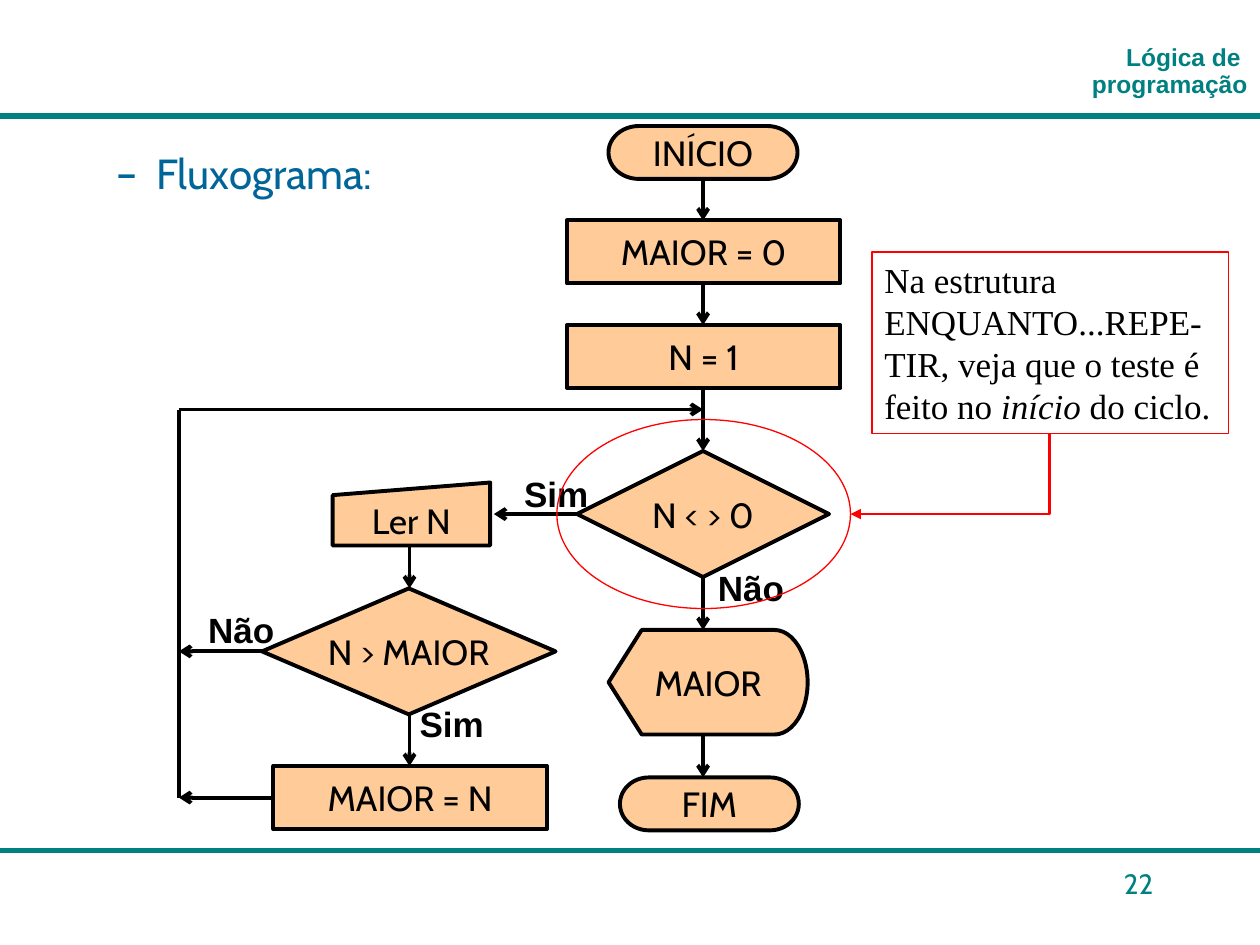
from lxml import etree
from pptx import Presentation
from pptx.dml.color import RGBColor
from pptx.enum import shapes, text
from pptx.oxml import ns
from pptx.util import Inches, Pt

TEAL = RGBColor(0x00, 0x80, 0x80)
BLUE = RGBColor(0x00, 0x66, 0x99)
PEACH = RGBColor(0xFF, 0xCC, 0x99)
BLACK = RGBColor(0x00, 0x00, 0x00)
WHITE = RGBColor(0xFF, 0xFF, 0xFF)
RED = RGBColor(0xFF, 0x00, 0x00)

KIND = shapes.MSO_SHAPE
ALIGN = text.PP_ALIGN

MAIN_X = 5.58    # axis of the main column
BRANCH_X = 3.25  # axis of the branch inside the loop
LOOP_X = 1.42    # line that returns to the test

STEPS = [
    (KIND.FLOWCHART_TERMINATOR, 4.83, 1, 1.5, 0.42, "INÍCIO"),
    (KIND.FLOWCHART_PROCESS, 4.5, 1.75, 2.17, 0.5, "MAIOR = 0"),
    (KIND.FLOWCHART_PROCESS, 4.5, 2.58, 2.17, 0.5, "N = 1"),
    (KIND.FLOWCHART_DECISION, 4.58, 3.58, 2, 1, "N < > 0"),
    (KIND.FLOWCHART_DISPLAY, 4.83, 5, 1.58, 0.83, "MAIOR"),
    (KIND.FLOWCHART_TERMINATOR, 4.92, 6.17, 1.42, 0.42, "FIM"),
    (KIND.FLOWCHART_MANUAL_INPUT, 2.64, 3.83, 1.25, 0.5, "Ler N"),
    (KIND.FLOWCHART_DECISION, 2.08, 4.67, 2.33, 1, "N > MAIOR"),
    (KIND.FLOWCHART_PROCESS, 2.17, 6.08, 2.17, 0.5, "MAIOR = N"),
]
MAIN_GAPS = [(1.42, 1.75), (2.25, 2.58), (3.08, 3.58), (4.58, 5), (5.83, 6.17)]
BRANCH_GAPS = [(4.33, 4.67), (5.67, 6.08)]
SIDE_ARROWS = [
    (4.58, 4.08, 3.92),
    (2.08, 5.17, LOOP_X),
    (2.17, 6.33, LOOP_X),
    (LOOP_X, 3.25, MAIN_X),
]
BRANCH_LABELS = [
    (3.83, 3.75, 1.17, "Sim"),
    (5.42, 4.5, 1.08, "Não"),
    (1.33, 4.83, 1.17, "Não"),
    (3, 5.58, 1.17, "Sim"),
]


def style(paragraph, font_name, size, color, bold=False, align=None):
    paragraph.alignment = align
    for run in paragraph.runs:
        run.font.name = font_name
        run.font.size = Pt(size)
        run.font.color.rgb = color
        run.font.bold = bold


def add_text(slide, left, top, width, height, words, wrap=True):
    """Add a text box and return its frame and first paragraph."""
    box = slide.shapes.add_textbox(*map(Inches, (left, top, width, height)))
    frame = box.text_frame
    frame.word_wrap = wrap
    frame.paragraphs[0].text = words
    return frame, frame.paragraphs[0]


def add_outline(slide, kind, left, top, width, height, fill, color, weight):
    shape = slide.shapes.add_shape(kind, *map(Inches, (left, top, width, height)))
    shape.shadow.inherit = False
    if fill is None:
        shape.fill.background()
    else:
        shape.fill.solid()
        shape.fill.fore_color.rgb = fill
    shape.line.color.rgb = color
    shape.line.width = Pt(weight)
    return shape


def add_step(slide, kind, left, top, width, height, words):
    step = add_outline(slide, kind, left, top, width, height, PEACH, BLACK, 2.25)
    frame = step.text_frame
    frame.text = words
    frame.word_wrap = False
    frame.vertical_anchor = text.MSO_ANCHOR.MIDDLE
    style(frame.paragraphs[0], "Cabin", 20, BLACK, align=ALIGN.CENTER)


def add_branch_label(slide, left, top, width, words):
    frame, label = add_text(slide, left, top, width, 0.33, words, wrap=False)
    frame.vertical_anchor = text.MSO_ANCHOR.MIDDLE
    style(label, "Arial", 20, BLACK, bold=True, align=ALIGN.CENTER)


def add_line(slide, start, end, color=BLACK, weight=2.25, arrow=None,
             kind=shapes.MSO_CONNECTOR.STRAIGHT):
    line = slide.shapes.add_connector(kind, *map(Inches, (*start, *end)))
    line.line.color.rgb = color
    line.line.width = Pt(weight)
    if arrow:
        etree.SubElement(line.line._get_or_add_ln(), ns.qn("a:tailEnd"), type=arrow)
    etree.SubElement(line._element.spPr, ns.qn("a:effectLst"))
    return line


def add_note_arrow(slide):
    """Run down from the note, then left to the ellipse: a quarter-turned elbow."""
    elbow = add_line(slide, (7.22, 2.97), (7.86, 4.55), RED, 1.5, "triangle",
                     shapes.MSO_CONNECTOR.ELBOW)
    properties = elbow._element.spPr
    properties.find(ns.qn("a:xfrm")).set("rot", str(90 * 60000))
    properties.find(ns.qn("a:prstGeom")).set("prst", "bentConnector2")


def add_frame(slide):
    """Add the rules, the course name and the page number."""
    for y in (0.92, 6.75):
        add_line(slide, (0, y), (10, y), TEAL, 3)
    page = add_text(slide, 8.33, 6.83, 0.92, 0.5, "22")[1]
    style(page, "Cabin", 16, TEAL, align=ALIGN.RIGHT)
    frame, course = add_text(slide, 1.5, 0.25, 8.5, 0.58, "Lógica de \vprogramação")
    frame.vertical_anchor = text.MSO_ANCHOR.BOTTOM
    course.line_spacing = 0.9
    style(course, "Arial", 14, TEAL, bold=True, align=ALIGN.RIGHT)


def add_heading(slide):
    heading = add_text(slide, 0.33, 1.17, 9.42, 1.67, "Fluxograma:")[1]
    heading.level = 1
    heading.line_spacing = 0.9
    heading.space_before = Pt(6)
    style(heading, "Cabin", 24, BLUE)
    properties = heading._p.get_or_add_pPr()
    properties.set("marL", str(Inches(0.81)))
    properties.set("indent", str(Inches(-0.31)))
    bullet_color = etree.SubElement(properties, ns.qn("a:buClr"))
    etree.SubElement(bullet_color, ns.qn("a:srgbClr"), val=str(BLUE))
    etree.SubElement(properties, ns.qn("a:buFont"), typeface="Cabin")
    etree.SubElement(properties, ns.qn("a:buChar"), char="–")


def add_note(slide):
    note = add_outline(slide, KIND.RECTANGLE, 6.92, 2, 2.83, 1.44, WHITE, RED, 0.75)
    frame = note.text_frame
    frame.word_wrap = True
    frame.vertical_anchor = text.MSO_ANCHOR.TOP
    remark = frame.paragraphs[0]
    remark.space_before = Pt(12.5)
    for words in ("Na estrutura ENQUANTO...REPE-TIR, veja que o teste é feito no ",
                  "início", " do ciclo."):
        remark.add_run().text = words
    style(remark, "Times New Roman", 20, BLACK, align=ALIGN.LEFT)
    remark.runs[1].font.italic = True


def add_flowchart(slide):
    for step in STEPS:
        add_step(slide, *step)
    for x, gaps in ((MAIN_X, MAIN_GAPS), (BRANCH_X, BRANCH_GAPS)):
        for top, bottom in gaps:
            add_line(slide, (x, top), (x, bottom), arrow="arrow")
    for start, y, end in SIDE_ARROWS:
        add_line(slide, (start, y), (end, y), arrow="arrow")
    add_line(slide, (LOOP_X, 3.25), (LOOP_X, 6.33))
    for label in BRANCH_LABELS:
        add_branch_label(slide, *label)


def main():
    deck = Presentation()
    deck.slide_width, deck.slide_height = Inches(10), Inches(7.5)
    slide = deck.slides.add_slide(deck.slide_layouts[6])
    add_frame(slide)
    add_heading(slide)
    add_flowchart(slide)
    add_note(slide)
    add_outline(slide, KIND.OVAL, 4.42, 3.33, 2.33, 1.5, None, RED, 0.75)
    add_note_arrow(slide)
    deck.save("out.pptx")


if __name__ == "__main__":
    main()
